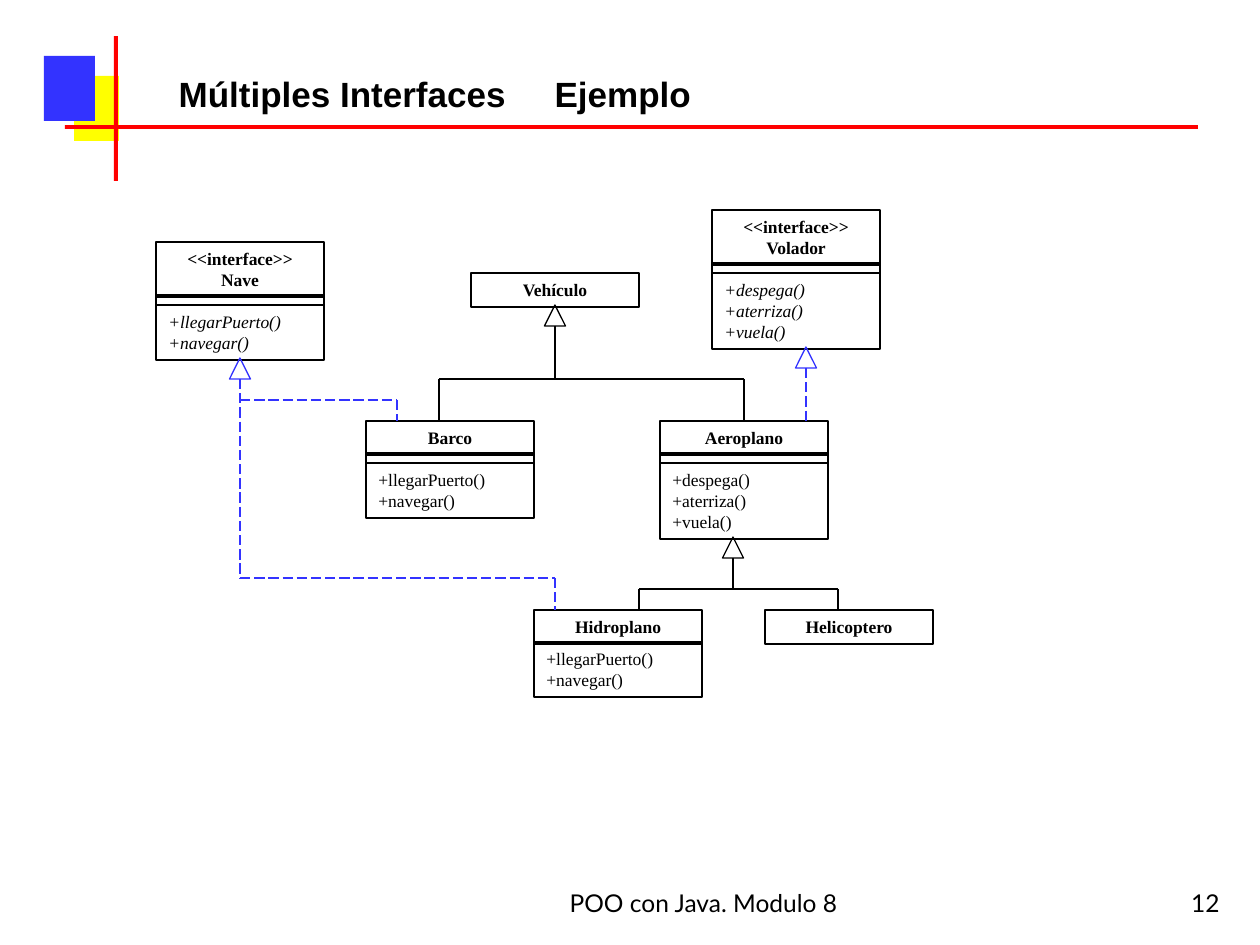
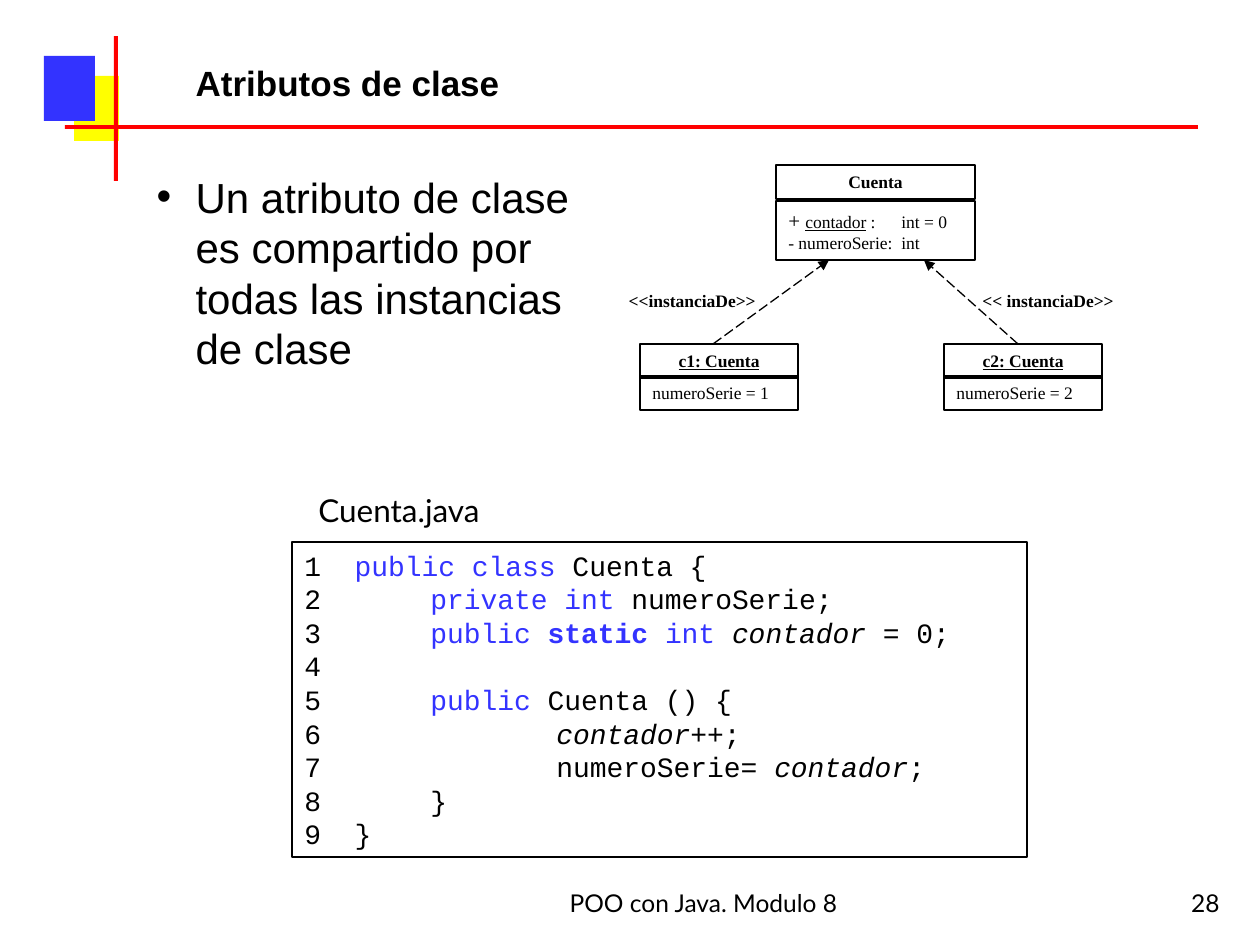
"""Build two Java course slides: multiple interfaces and class attributes."""
from dataclasses import dataclass
from itertools import pairwise

from lxml import etree
from pptx import Presentation
from pptx.dml.color import RGBColor
from pptx.enum.dml import MSO_LINE
from pptx.enum.shapes import MSO_CONNECTOR, MSO_SHAPE
from pptx.enum.text import MSO_ANCHOR, MSO_AUTO_SIZE, PP_ALIGN
from pptx.oxml.ns import qn
from pptx.util import Pt

LEFT, CENTER, RIGHT = PP_ALIGN.LEFT, PP_ALIGN.CENTER, PP_ALIGN.RIGHT
TOP, BOTTOM = MSO_ANCHOR.TOP, MSO_ANCHOR.BOTTOM
RECTANGLE, TRIANGLE = MSO_SHAPE.RECTANGLE, MSO_SHAPE.ISOSCELES_TRIANGLE
STRAIGHT, LONG_DASH = MSO_CONNECTOR.STRAIGHT, MSO_LINE.LONG_DASH
INCH = 126


@dataclass(frozen=True)
class Theme:
    black: str = "000000"
    blue: str = "3333FF"
    yellow: str = "FFFF00"
    red: str = "FF0000"
    heading: tuple = ("Arial", 20)
    bullet: tuple = ("Arial", 24)
    diagram: tuple = ("Times New Roman", 10)
    code: tuple = ("Courier New", 16)
    caption: tuple = ("Lato", 18)
    footer: tuple = ("Lato", 14)
    large: int = 12
    line: float = 0.75


THEME = Theme()


@dataclass
class UmlClass:
    left: int
    top: int
    name: list
    members: list
    strip: bool = False
    width: int = 168
    name_style: str = "b"
    member_style: str = ""
    gap: int = -2
    padding: int = 13

    def compartments(self):
        """Return the top, height, lines, style and alignment of each part."""
        parts, top = [], self.top
        height = 21 * len(self.name) + 13
        parts.append((top, height, self.name, self.name_style, CENTER))
        top += height + self.gap
        if self.strip:
            parts.append((top, 10, [], "", LEFT))
            top += 10
        if self.members:
            height = 21 * len(self.members) + self.padding
            parts.append((top, height, self.members, self.member_style, LEFT))
        return parts

    def bottom(self):
        """Return the lower edge of the last part."""
        top, height = self.compartments()[-1][:2]
        return top + height


FOOTER = "POO con Java. Modulo 8"
BANDS = [
    ((74, 76, 45, 65), THEME.yellow),
    ((44, 56, 51, 65), THEME.blue),
    ((114, 36, 4, 145), THEME.red),
    ((65, 125, 1133, 4), THEME.red),
]

SAILING = ["+llegarPuerto()", "+navegar()"]
FLYING = ["+despega()", "+aterriza()", "+vuela()"]
VEHICLES = {
    "Nave": UmlClass(156, 242, ["<<interface>>", "Nave"], SAILING, True, member_style="i"),
    "Vehículo": UmlClass(471, 273, ["Vehículo"], []),
    "Volador": UmlClass(712, 210, ["<<interface>>", "Volador"], FLYING, True, member_style="i"),
    "Barco": UmlClass(366, 421, ["Barco"], SAILING, True),
    "Aeroplano": UmlClass(660, 421, ["Aeroplano"], FLYING, True),
    "Hidroplano": UmlClass(534, 610, ["Hidroplano"], SAILING),
    "Helicoptero": UmlClass(765, 610, ["Helicoptero"], []),
}
INHERITANCE = [
    ("Vehículo", 555, 379, False, [[(439, 421), (439, 379), (744, 379), (744, 421)]]),
    ("Aeroplano", 733, 589, False, [[(639, 610), (639, 589), (838, 589), (838, 610)]]),
    ("Nave", 240, 578, True, [[(240, 400), (397, 400), (397, 421)],
                              [(240, 578), (555, 578), (555, 610)]]),
    ("Volador", 806, 421, True, []),
]

COUNTER = [("+ ", "L"), ("contador", "u"), (" :\tint = 0", "")]
ACCOUNTS = [
    UmlClass(776, 165, ["Cuenta"], [COUNTER, "- numeroSerie:\tint"], width=199, gap=2, padding=17),
    UmlClass(640, 344, ["c1: Cuenta"], ["numeroSerie = 1"], width=158, name_style="bu"),
    UmlClass(944, 344, ["c2: Cuenta"], ["numeroSerie = 2"], width=158, name_style="bu"),
]
INSTANCE_ARROWS = [((713, 344), (829, 260)), ((1018, 344), (924, 260))]
INSTANCE_LABELS = [(600, "<<instanciaDe>>"), (958, "<< instanciaDe>>")]
BULLET_TEXT = "Un atributo de clase es compartido por todas las instancias de clase"
CODE_LINES = [
    [("1  ", ""), ("public class", "k"), (" Cuenta {", "")],
    [("2\t", ""), ("private int", "k"), (" numeroSerie;", "")],
    [("3\t", ""), ("public ", "k"), ("static ", "kb"), ("int ", "k"), ("contador", "i"), (" = 0;", "")],
    "4",
    [("5\t", ""), ("public", "k"), (" Cuenta () {", "")],
    [("6\t\t", ""), ("contador", "i"), ("++;", "")],
    [("7\t\tnumeroSerie= ", ""), ("contador", "i"), (";", "")],
    "8\t}",
    "9  }",
]


def px(length):
    """Turn px into EMU."""
    return round(length * 914400 / INCH)


def color(value):
    """Return a colour object."""
    return RGBColor.from_string(value)


def place(shape, area):
    """Move and size a shape."""
    shape.left, shape.top, shape.width, shape.height = map(px, area)


def format_span(span, face, size, style):
    """Format one run by its style letters."""
    font = span.font
    font.name = face
    font.size = Pt(THEME.large if "L" in style else size)
    font.bold, font.italic, font.underline = ("b" in style, "i" in style, "u" in style)
    font.color.rgb = color(THEME.blue if "k" in style else THEME.black)


def write(box, lines, type_style, style="", align=LEFT, anchor=TOP, tabs=(), bullet=0):
    """Fill a box with formatted paragraphs."""
    face, size = type_style
    frame = box.text_frame
    frame.word_wrap = True
    frame.auto_size = MSO_AUTO_SIZE.NONE
    frame.vertical_anchor = anchor
    for index, line in enumerate(lines):
        para = frame.add_paragraph() if index else frame.paragraphs[0]
        para.alignment = align
        para.line_spacing = 1.0
        para.space_before = Pt(0)
        properties = para._p.get_or_add_pPr()
        if bullet:
            properties.set("marL", str(px(bullet)))
            properties.set("indent", str(-px(bullet)))
            etree.SubElement(properties, qn("a:buFont"), typeface=face)
            etree.SubElement(properties, qn("a:buChar"), char="•")
        if tabs:
            stops = etree.SubElement(properties, qn("a:tabLst"))
            for stop in tabs:
                etree.SubElement(stops, qn("a:tab"), pos=str(px(stop)), algn="l")
        spans = [(line, style)] if isinstance(line, str) else line
        for text, span_style in spans:
            span = para.add_run()
            span.text = text
            format_span(span, face, size, span_style)


def add_text(page, area, text, type_style, **options):
    """Add a one-line text box."""
    box = page.shapes.add_textbox(*map(px, area))
    write(box, [text], type_style, **options)


def add_outline(page, area, kind=RECTANGLE, line=THEME.black):
    """Add an unfilled shape."""
    shape = page.shapes.add_shape(kind, *map(px, area))
    shape.shadow.inherit = False
    shape.fill.background()
    shape.line.color.rgb = color(line)
    shape.line.width = Pt(THEME.line)
    return shape


def add_line(page, start, end, line=THEME.black, dashed=False, arrow=False):
    """Add a straight connector."""
    connector = page.shapes.add_connector(STRAIGHT, *map(px, (*start, *end)))
    connector.line.color.rgb = color(line)
    connector.line.width = Pt(THEME.line)
    if dashed:
        connector.line.dash_style = LONG_DASH
    properties = connector.element.spPr
    if arrow:
        etree.SubElement(properties.find(qn("a:ln")), qn("a:tailEnd"), type="triangle")
    etree.SubElement(properties, qn("a:effectLst"))


def add_class(page, uml):
    """Draw the compartments of a class."""
    for top, height, lines, style, align in uml.compartments():
        box = add_outline(page, (uml.left, top, uml.width, height))
        write(box, lines, THEME.diagram, style=style, align=align, tabs=(113,) if align == LEFT else ())


def add_inheritance(page, parent, tip, trunk_end, dashed, branches):
    """Draw a hollow arrowhead, its trunk and its branches."""
    line = THEME.blue if dashed else THEME.black
    size, top = 21, VEHICLES[parent].bottom() - 2
    add_outline(page, (tip - size / 2, top, size, size), TRIANGLE, line)
    for route in [[(tip, top + size), (tip, trunk_end)], *branches]:
        for start, end in pairwise(route):
            add_line(page, start, end, line, dashed)


def add_page(deck, layout, title, title_area, number, tabs=()):
    """Add a slide with its bands, title and footers."""
    page = deck.slides.add_slide(deck.slide_layouts[layout])
    for area, fill in BANDS:
        band = page.shapes.add_shape(RECTANGLE, *map(px, area))
        band.shadow.inherit = False
        band.fill.solid()
        band.fill.fore_color.rgb = color(fill)
        band.line.fill.background()
    place(page.shapes.title, title_area)
    write(page.shapes.title, [title], THEME.heading, style="b", tabs=tabs)
    add_text(page, (504, 861, 399, 63), FOOTER, THEME.footer, align=CENTER, anchor=BOTTOM)
    add_text(page, (970, 861, 262, 63), number, THEME.footer, align=RIGHT, anchor=BOTTOM)
    return page


def build_interfaces(deck):
    """Build the class hierarchy slide."""
    page = add_page(deck, 5, "Múltiples Interfaces\tEjemplo", (166, 66, 731, 55), "12", (376,))
    for uml in VEHICLES.values():
        add_class(page, uml)
    for relation in INHERITANCE:
        add_inheritance(page, *relation)


def build_attributes(deck):
    """Build the class attributes slide."""
    page = add_page(deck, 1, "Atributos de clase", (183, 55, 552, 55), "28")
    body = page.placeholders[1]
    place(body, (144, 165, 447, 214))
    write(body, [BULLET_TEXT], THEME.bullet, bullet=39)
    for uml in ACCOUNTS:
        add_class(page, uml)
    for start, end in INSTANCE_ARROWS:
        add_line(page, start, end, dashed=True, arrow=True)
    for left, label in INSTANCE_LABELS:
        add_text(page, (left, 284, 168, 34), label, THEME.diagram, style="b", align=RIGHT)
    add_text(page, (306, 485, 199, 50), "Cuenta.java", THEME.caption)
    listing = add_outline(page, (292, 542, 735, 315))
    write(listing, CODE_LINES, THEME.code, tabs=(INCH, 2 * INCH))


def main():
    """Build and save the deck."""
    deck = Presentation()
    deck.slide_width, deck.slide_height = px(1260), px(945)
    build_interfaces(deck)
    build_attributes(deck)
    deck.save("out.pptx")


if __name__ == "__main__":
    main()
